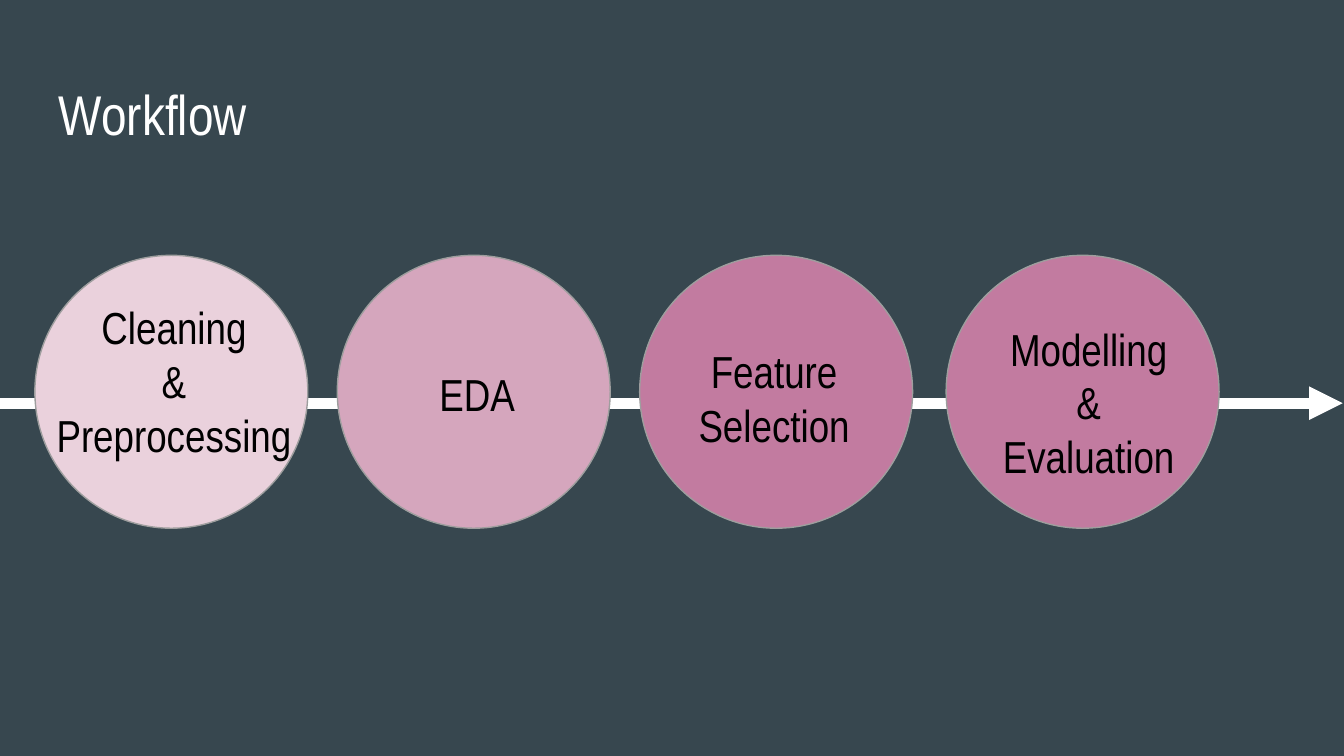
from lxml.etree import SubElement
from pptx import Presentation
from pptx.dml.color import RGBColor
from pptx.enum.shapes import MSO_CONNECTOR, MSO_SHAPE
from pptx.enum.text import MSO_ANCHOR, PP_ALIGN
from pptx.oxml.ns import qn
from pptx.util import Pt

SLATE = RGBColor(0x37, 0x47, 0x4F)
WHITE = RGBColor(0xFF, 0xFF, 0xFF)
BLACK = RGBColor(0x00, 0x00, 0x00)
GREY = RGBColor(0x9E, 0x9E, 0x9E)
PALE_PINK = RGBColor(0xEA, 0xD1, 0xDC)
PINK = RGBColor(0xD5, 0xA6, 0xBD)
MAUVE = RGBColor(0xC2, 0x7B, 0xA0)

FONT = "Arial Narrow"
CIRCLE_TOP = 136.8
CIRCLE_SIZE = 146.2

# Circle left, fill, label lines, label box (left, top, width, height)
STEPS = [
    (18.7, PALE_PINK, ["Cleaning", "&", "Preprocessing"], (15.8, 153.4, 154.8, 114.5)),
    (180.7, PINK, ["EDA"], (201.6, 189.4, 108, 66.2)),
    (342.7, MAUVE, ["Feature", "Selection"], (360.7, 177.1, 108, 66.2)),
    (506.9, MAUVE, ["Modelling & Evaluation"], (529.2, 164.9, 108, 66.2)),
]


def add_text(page, lines, bounds, size, color, align):
    box = page.shapes.add_textbox(*map(Pt, bounds))
    frame = box.text_frame
    frame.word_wrap = True
    frame.vertical_anchor = MSO_ANCHOR.TOP
    frame.margin_left = frame.margin_right = Pt(7.2)
    frame.margin_top = frame.margin_bottom = Pt(7.2)
    frame.text = "\n".join(lines)
    for para in frame.paragraphs:
        para.alignment = align
        para.font.name = FONT
        para.font.size = Pt(size)
        para.font.color.rgb = color


def add_arrow(page, left, right, y):
    arrow = page.shapes.add_connector(
        MSO_CONNECTOR.STRAIGHT, Pt(left), Pt(y), Pt(right), Pt(y))
    arrow.line.color.rgb = WHITE
    arrow.line.width = Pt(6)
    SubElement(arrow.line._get_or_add_ln(), qn("a:tailEnd"), type="triangle")
    SubElement(arrow._element.spPr, qn("a:effectLst"))


def add_circle(page, left, color):
    circle = page.shapes.add_shape(
        MSO_SHAPE.OVAL, Pt(left), Pt(CIRCLE_TOP), Pt(CIRCLE_SIZE), Pt(CIRCLE_SIZE))
    circle.shadow.inherit = False
    circle.fill.solid()
    circle.fill.fore_color.rgb = color
    circle.line.color.rgb = GREY
    circle.line.width = Pt(0.75)


def main():
    deck = Presentation()
    deck.slide_width, deck.slide_height = Pt(720), Pt(405)
    page = deck.slides.add_slide(deck.slide_layouts[6])
    page.background.fill.solid()
    page.background.fill.fore_color.rgb = SLATE

    add_text(page, ["Workflow"], (24.5, 35.3, 671, 45.4), 30, WHITE, PP_ALIGN.LEFT)
    add_arrow(page, 0, 719.3, 216)
    for left, color, _, _ in STEPS:
        add_circle(page, left, color)
    for _, _, lines, bounds in STEPS:
        add_text(page, lines, bounds, 24, BLACK, PP_ALIGN.CENTER)

    deck.save("out.pptx")


if __name__ == "__main__":
    main()
